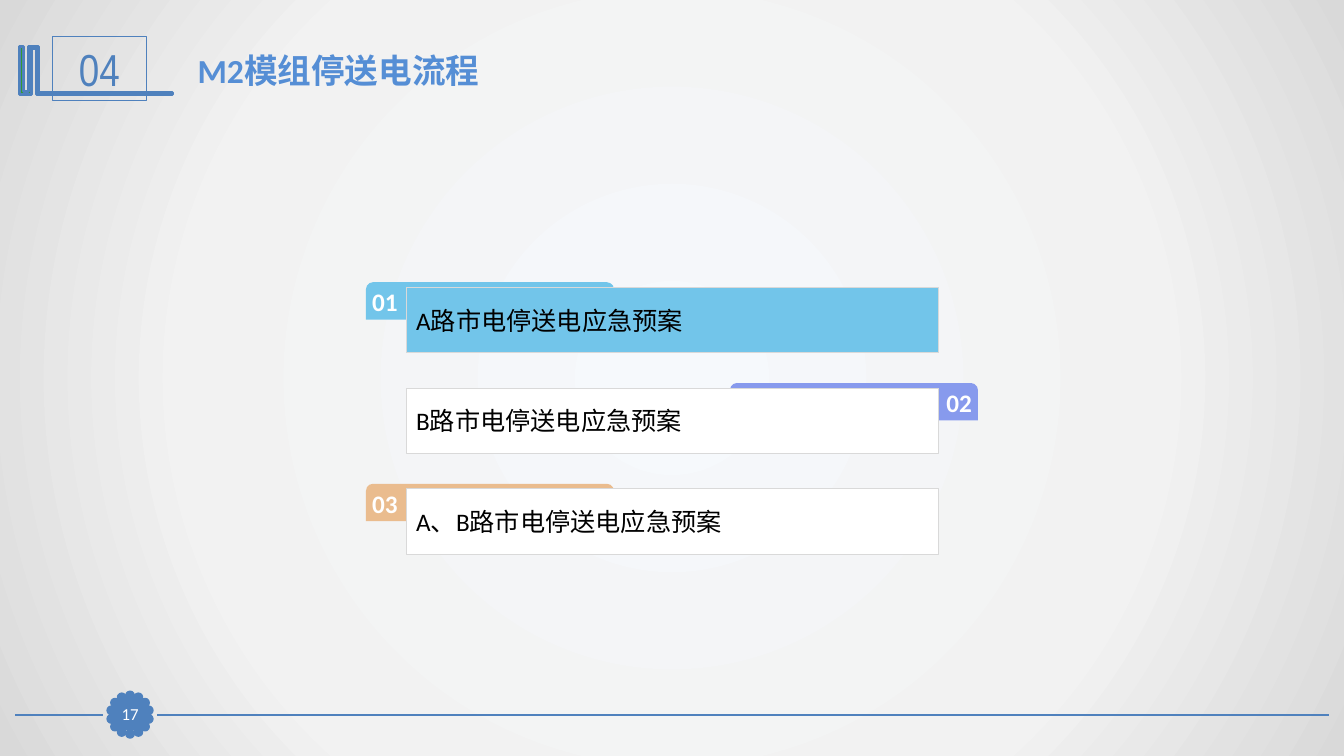
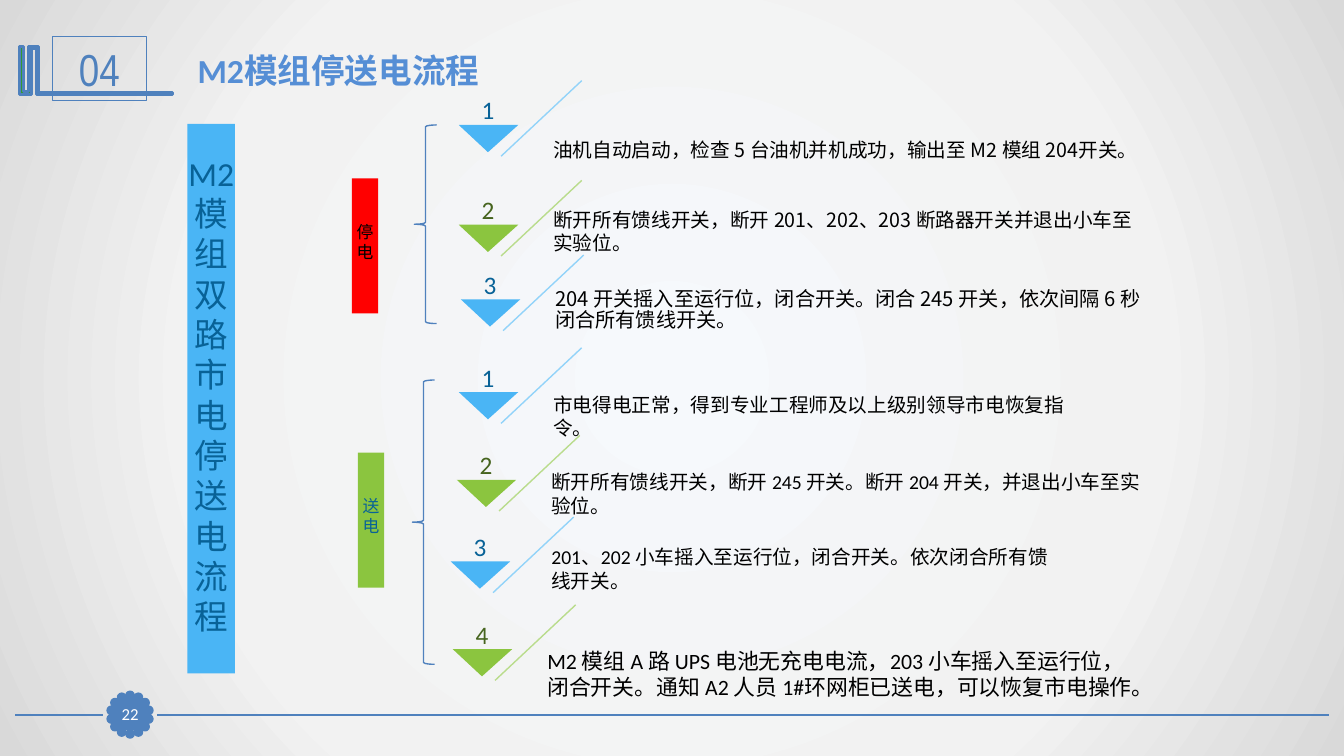
from dataclasses import dataclass
from math import cos, pi, sin

from lxml import etree
from pptx import Presentation
from pptx import util as u
from pptx.dml.color import RGBColor
from pptx.enum import shapes, text
from pptx.oxml import ns

WIDTH, HEIGHT = 13.33, 7.5
ALIGN, ANCHOR, KIND = text.PP_ALIGN, text.MSO_ANCHOR, shapes.MSO_SHAPE


class Theme:
    """Colours, fonts and type sizes."""
    main, title, emblem = "4F81BD", "558ED5", "339933"
    white, black, border = "FFFFFF", "000000", "D9D9D9"
    sky, lilac, sand = "72C5EA", "879AED", "EABC8E"
    blue, green, red = "4AB5F5", "8BC53F", "FF0000"
    pale_blue, pale_green = "92D3F9", "B9DC8C"
    deep_blue, deep_green = "086297", "46641E"
    background = ((0, "F6F9FC"), (63, "F2F2F2"), (100, "D9D9D9"))
    font, narrow, cjk = "Calibri", "Arial Narrow", "Noto Sans CJK SC"
    chapter_size, title_size, item_size, step_size, small_size = 32, 24, 18, 14, 12


@dataclass
class Style:
    size: float
    color: str = Theme.black
    font: str = Theme.font
    bold: bool = False
    align: ALIGN = ALIGN.LEFT
    anchor: ANCHOR = ANCHOR.MIDDLE
    margins: tuple = (0.1, 0.05, 0.1, 0.05)
    spacing: float = 1.0


@dataclass
class Item:
    number: str
    label: str
    tab_color: str
    fill: str = Theme.white
    tab_right: bool = False


@dataclass
class Step:
    left: float
    top: float
    number: str
    body: str
    body_box: tuple  # left, top, width, height
    size: float = Theme.step_size
    font: str = Theme.font
    spacing: float = 1.0


@dataclass
class Phase:
    label: str
    label_at: tuple
    fill: str
    color: str
    brace: tuple
    steps: list


def rgb(color: str) -> RGBColor:
    return RGBColor.from_string(color)


def write(shape, content: str, style: Style) -> None:
    """Put text in a shape, one paragraph a line."""
    frame = shape.text_frame
    frame.text = content
    frame.word_wrap = True
    frame.auto_size = text.MSO_AUTO_SIZE.NONE
    frame.vertical_anchor = style.anchor
    (frame.margin_left, frame.margin_top,
     frame.margin_right, frame.margin_bottom) = map(u.Inches, style.margins)
    for paragraph in frame.paragraphs:
        paragraph.alignment = style.align
        paragraph.line_spacing = style.spacing
        for run in paragraph.runs:
            run.font.size, run.font.bold = u.Pt(style.size), style.bold
            run.font.color.rgb = rgb(style.color)
            run.font.name = style.font
            east_asian = etree.SubElement(run.font._element, ns.qn("a:ea"))
            east_asian.set("typeface", Theme.font)


def paint(shape, fill: str | None, line: str | None, width: float) -> None:
    shape.shadow.inherit = False
    if fill:
        shape.fill.solid()
        shape.fill.fore_color.rgb = rgb(fill)
    else:
        shape.fill.background()
    if line:
        shape.line.color.rgb = rgb(line)
        shape.line.width = u.Pt(width)
    else:
        shape.line.fill.background()


def add_block(slide, kind, box: tuple, fill=None, line=None, width: float = 0.75):
    shape = slide.shapes.add_shape(kind, *map(u.Inches, box))
    paint(shape, fill, line, width)
    return shape


def add_outline(slide, points: list, fill: str, line=None, width: float = 0.75):
    """Closed outline; the builder needs whole units, so use hundredths."""
    corners = [(round(x * 100), round(y * 100)) for x, y in points]
    builder = slide.shapes.build_freeform(*corners[0], scale=u.Inches(0.01))
    builder.add_line_segments(corners[1:], close=True)
    paint(builder.convert_to_shape(), fill, line, width)


def add_line(slide, start: tuple, end: tuple, color: str, width: float) -> None:
    line = slide.shapes.add_connector(shapes.MSO_CONNECTOR.STRAIGHT,
                                      *map(u.Inches, start + end))
    line.line.color.rgb, line.line.width = rgb(color), u.Pt(width)
    etree.SubElement(line._element.spPr, ns.qn("a:effectLst"))


def add_text(slide, box: tuple, content: str, style: Style) -> None:
    write(slide.shapes.add_textbox(*map(u.Inches, box)), content, style)


def set_background(master) -> None:
    """Radial gradient behind every slide."""
    fill = master.background.fill
    fill.gradient()
    gradient = master._element.find(".//" + ns.qn("a:gradFill"))
    for child in list(gradient):
        gradient.remove(child)
    stops = etree.SubElement(gradient, ns.qn("a:gsLst"))
    for position, color in Theme.background:
        stop = etree.SubElement(stops, ns.qn("a:gs"), pos=str(position * 1000))
        etree.SubElement(stop, ns.qn("a:srgbClr"), val=color)
    circle = etree.SubElement(gradient, ns.qn("a:path"), path="circle")
    etree.SubElement(circle, ns.qn("a:fillToRect"),
                     {side: "50000" for side in "ltrb"})


def start_slide(presentation, page: str):
    """Slide with title, chapter emblem, footer line and page badge."""
    slide = presentation.slides.add_slide(presentation.slide_layouts[5])
    # Footer line, open around the badge
    for start, end in ((0.15, 1.02), (1.56, WIDTH - 0.15)):
        add_line(slide, (start, 7.09), (end, 7.09), Theme.main, 1.25)
    # Scalloped badge: a ring of dots round a square
    dots, radius, dot = 14, 0.19, 0.07
    for index in range(dots):
        angle = 2 * pi * index / dots
        add_block(slide, KIND.OVAL,
                  (1.29 + radius * sin(angle) - dot / 2,
                   7.09 - radius * cos(angle) - dot / 2, dot, dot),
                  Theme.main, Theme.main, 2)
    # Chapter emblem
    add_outline(slide, [
        (0.37, 0.46), (0.38, 0.46), (0.38, 0.92), (1.71, 0.92), (1.71, 0.94),
        (0.36, 0.94), (0.36, 0.48), (0.31, 0.48), (0.31, 0.94), (0.19, 0.94),
        (0.19, 0.46), (0.23, 0.46), (0.23, 0.91), (0.28, 0.91), (0.28, 0.46),
    ], Theme.emblem, Theme.main, 2)
    chapter = add_block(slide, KIND.RECTANGLE, (0.52, 0.36, 0.93, 0.64),
                        line=Theme.main)
    write(chapter, "04", Style(Theme.chapter_size, Theme.main, Theme.narrow,
                               align=ALIGN.CENTER))
    badge = add_block(slide, KIND.RECTANGLE, (1.13, 6.93, 0.32, 0.31),
                      Theme.main, Theme.main)
    write(badge, page, Style(Theme.small_size, Theme.white, align=ALIGN.CENTER,
                             margins=(0, 0, 0, 0)))
    # Title
    title = slide.shapes.title
    title.left, title.top, title.width, title.height = map(
        u.Inches, (1.86, 0.44, 9.69, 0.5))
    write(title, "M2模组停送电流程", Style(Theme.title_size, Theme.title, bold=True,
                                    anchor=ANCHOR.TOP))
    return slide


def add_item(slide, item: Item, row: int) -> None:
    """Agenda bar with a numbered tab behind it."""
    top, near, far = 2.8 + row, 0.04, 0.1
    tab = add_block(slide, KIND.ROUND_2_SAME_RECTANGLE,
                    (7.24 if item.tab_right else 3.63, top, 2.46, 0.37),
                    item.tab_color)
    tab.adjustments[0] = 0.19
    margins = (far, 0, near, 0) if item.tab_right else (near, 0, far, 0)
    write(tab, item.number,
          Style(Theme.item_size, Theme.white, bold=True, margins=margins,
                align=ALIGN.RIGHT if item.tab_right else ALIGN.JUSTIFY))
    bar = add_block(slide, KIND.RECTANGLE, (4.03, top + 0.05, 5.28, 0.65),
                    item.fill, Theme.border)
    write(bar, item.label, Style(Theme.item_size, align=ALIGN.JUSTIFY))


def add_step(slide, step: Step) -> None:
    """Number over a triangle, slanted line and description."""
    if int(step.number) % 2:
        fill, pale, deep = Theme.blue, Theme.pale_blue, Theme.deep_blue
    else:
        fill, pale, deep = Theme.green, Theme.pale_green, Theme.deep_green
    x, y = step.left, step.top
    add_line(slide, (x + 1.22, y - 0.44), (x + 0.42, y + 0.31), pale, 1)
    add_outline(slide, [(x, y), (x + 0.59, y), (x + 0.29, y + 0.27)], fill)
    add_text(slide, step.body_box, step.body,
             Style(step.size, font=step.font, spacing=step.spacing))
    add_text(slide, (x - 0.02, y - 0.6, 0.62, 0.6), step.number,
             Style(Theme.item_size, deep, align=ALIGN.CENTER,
                   anchor=ANCHOR.BOTTOM, margins=(0, 0, 0, 0)))


def add_strip(slide, box: tuple, fill: str, content: str, size: float, color: str):
    """Narrow bar whose text runs downwards, one character a line."""
    strip = add_block(slide, KIND.RECTANGLE, box, fill)
    write(strip, content, Style(size, color, align=ALIGN.CENTER,
                                margins=(0, 0, 0, 0.08)))


ITEMS = [
    Item("01", "A路市电停送电应急预案", Theme.sky, fill=Theme.sky),
    Item("02", "B路市电停送电应急预案", Theme.lilac, tab_right=True),
    Item("03", "A、B路市电停送电应急预案", Theme.sand),
]

PHASES = [
    Phase("停电", (3.49, 1.77), Theme.red, Theme.black, (4.11, 1.24, 0.22, 1.97), [
        Step(4.55, 1.24, "1",
             "油机自动启动，检查 5 台油机并机成功，输出至 M2 模组 204开关。",
             (5.39, 1.14, 6.07, 0.68), font=Theme.cjk),
        Step(4.55, 2.23, "2",
             "断开所有馈线开关，断开 201、202、203 断路器开关并退出小车至实验位。",
             (5.39, 1.88, 6.07, 0.83), font=Theme.cjk),
        Step(4.57, 2.97, "3",
             "204 开关摇入至运行位，闭合开关。闭合 245 开关，依次间隔 6 秒闭合所有馈线开关。",
             (5.41, 2.8, 6.07, 0.56), 14.4, Theme.cjk, 0.9),
    ]),
    Phase("送电", (3.55, 4.49), Theme.green, Theme.deep_blue, (4.09, 3.77, 0.22, 2.82), [
        Step(4.55, 3.89, "1",
             "市电得电正常，得到专业工程师及以上级别领导市电恢复指\n令。",
             (5.39, 3.79, 6.07, 0.68)),
        Step(4.53, 4.76, "2",
             "断开所有馈线开关，断开 245 开关。断开 204 开关，并退出小车至实验位。",
             (5.37, 4.47, 6.07, 0.86)),
        Step(4.47, 5.57, "3",
             "201、202 小车摇入至运行位，闭合开关。依次闭合所有馈\n线开关。",
             (5.37, 5.33, 6.01, 0.62)),
        Step(4.49, 6.44, "4",
             "M2 模组 A 路 UPS 电池无充电电流，203 小车摇入至运行位，闭合开关。"
             "通知 A2 人员 1#环网柜已送电，可以恢复市电操作。",
             (5.33, 6.34, 6.07, 0.68), 15.6),
    ]),
]


def main() -> None:
    presentation = Presentation()
    presentation.slide_width = u.Inches(WIDTH)
    presentation.slide_height = u.Inches(HEIGHT)
    set_background(presentation.slide_master)

    # Agenda
    agenda = start_slide(presentation, "17")
    for row, item in enumerate(ITEMS):
        add_item(agenda, item, row)

    # Two-phase process
    process = start_slide(presentation, "22")
    add_strip(process, (1.86, 1.23, 0.47, 5.45), Theme.blue,
              "M2\n模组双路市电停送电流程", Theme.title_size, Theme.deep_blue)
    for phase in PHASES:
        add_strip(process, (*phase.label_at, 0.26, 1.34), phase.fill, phase.label,
                  Theme.small_size, phase.color)
        add_block(process, KIND.LEFT_BRACE, phase.brace, line=Theme.main, width=1)
        for step in phase.steps:
            add_step(process, step)
    presentation.save("out.pptx")


if __name__ == "__main__":
    main()
